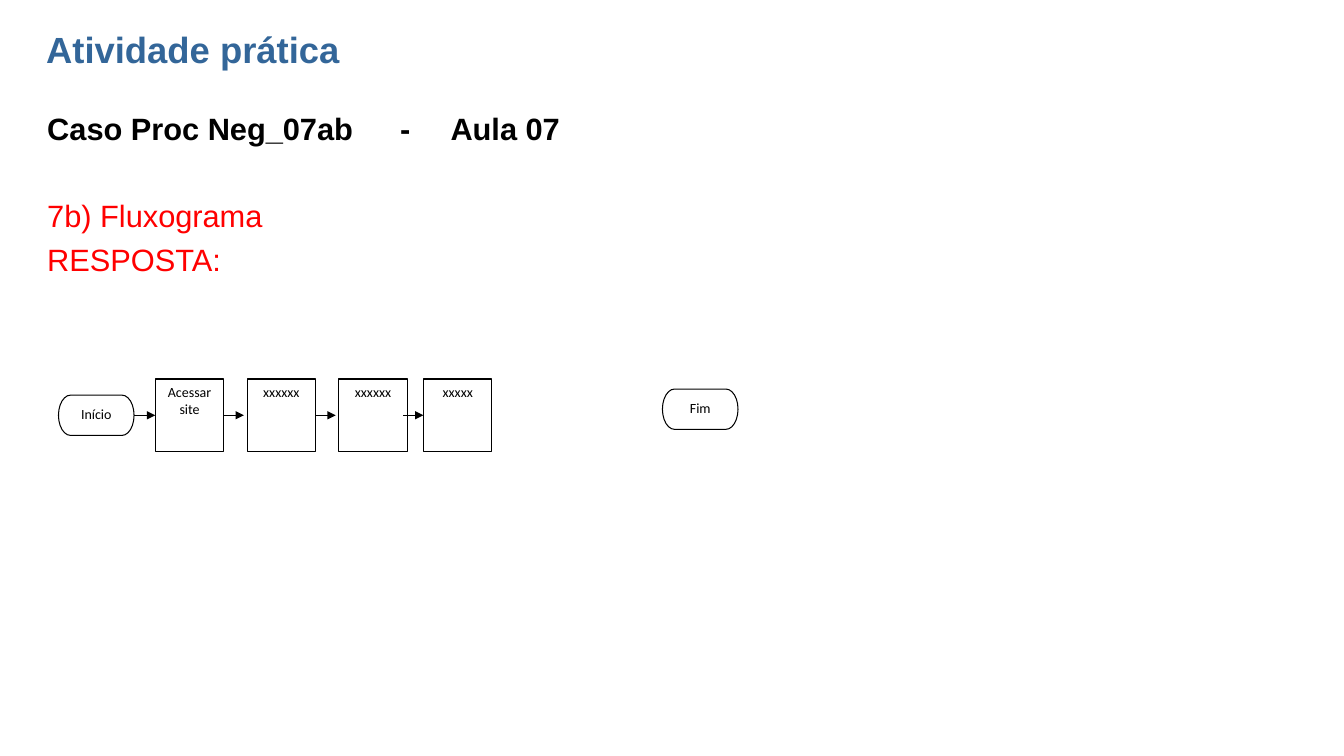
from pptx import Presentation
from pptx import util as u
from pptx.dml.color import RGBColor
from pptx.enum import shapes, text
from pptx.oxml.ns import qn
from lxml import etree

LEFT, RIGHT = 1, 3
FLOW_Y = 4.12
TERMINATOR_SIZE = (0.75, 0.4)
STEP_SIZE = (0.68, 0.72)
ARROW_LENGTH = 0.2

TITLE = {"size": u.Pt(26), "name": "Arial", "bold": True}
HEADING = {"size": u.Pt(22), "name": "Arial", "bold": True}
BODY = {"size": u.Pt(22), "name": "Arial", "bold": False}
LABEL = {"size": u.Pt(10), "name": "Calibri"}


def rgb(value):
    return RGBColor.from_string(value)


def write(p, words, font, color, **layout):
    for name, value in layout.items():
        setattr(p, name, value)
    r = p.add_run()
    r.text = words
    for name, value in font.items():
        setattr(r.font, name, value)
    r.font.color.rgb = rgb(color)


def add_text(s, box, lines):
    tf = s.shapes.add_textbox(*map(u.Inches, box)).text_frame
    tf.word_wrap = True
    for i, (words, font, color, layout) in enumerate(lines):
        p = tf.add_paragraph() if i else tf.paragraphs[0]
        write(p, words, font, color, alignment=text.PP_ALIGN.JUSTIFY, **layout)


def add_node(s, kind, left, middle, size, words):
    width, height = size
    box = (left, middle - height / 2, width, height)
    sp = s.shapes.add_shape(kind, *map(u.Inches, box))
    sp.shadow.inherit = False
    sp.fill.solid()
    sp.fill.fore_color.rgb = rgb("FFFFFF")
    sp.line.color.rgb = rgb("000000")
    sp.line.width = u.Pt(0.75)
    tf = sp.text_frame
    tf.word_wrap = True
    tf.vertical_anchor = text.MSO_ANCHOR.TOP
    write(tf.paragraphs[0], words, LABEL, "000000",
          alignment=text.PP_ALIGN.CENTER, space_after=u.Pt(10))
    return sp


def add_arrow(s, start, source=None, target=None):
    ends = (start, FLOW_Y, start + ARROW_LENGTH, FLOW_Y)
    arrow = s.shapes.add_connector(shapes.MSO_CONNECTOR.STRAIGHT, *map(u.Inches, ends))
    if source is not None:
        arrow.begin_connect(source, RIGHT)
    if target is not None:
        arrow.end_connect(target, LEFT)
    arrow.line.color.rgb = rgb("000000")
    arrow.line.width = u.Pt(0.75)
    etree.SubElement(arrow.line._get_or_add_ln(), qn("a:tailEnd"), type="triangle")
    etree.SubElement(arrow._element.spPr, qn("a:effectLst"))


def main():
    prs = Presentation()
    prs.slide_width, prs.slide_height = u.Inches(13.33), u.Inches(7.5)
    s = prs.slides.add_slide(prs.slide_layouts[6])

    add_text(s, (0.36, 0.27, 9.74, 0.67), [
        ("Atividade prática", TITLE, "336699", {"line_spacing": 0.9}),
    ])
    add_text(s, (0.37, 1.04, 12.49, 2.08), [
        ("Caso Proc Neg_07ab\t-\tAula 07", HEADING, "000000", {}),
        ("7b) Fluxograma", BODY, "FF0000", {"space_before": u.Pt(36)}),
        ("RESPOSTA:", BODY, "FF0000", {"space_before": u.Pt(5)}),
    ])

    terminator = shapes.MSO_SHAPE.FLOWCHART_TERMINATOR
    begin = add_node(s, terminator, 0.58, FLOW_Y, TERMINATOR_SIZE, "Início")
    steps = [
        add_node(s, shapes.MSO_SHAPE.RECTANGLE, left, FLOW_Y, STEP_SIZE, words)
        for left, words in [(1.54, "Acessar site"), (2.45, "xxxxxx"),
                            (3.36, "xxxxxx"), (4.2, "xxxxx")]
    ]
    add_node(s, terminator, 6.57, 4.06, TERMINATOR_SIZE, "Fim")

    add_arrow(s, 1.34, begin, steps[0])
    add_arrow(s, 2.22, steps[0])
    add_arrow(s, 3.13, steps[1])
    add_arrow(s, 4, target=steps[3])

    prs.save("out.pptx")


if __name__ == "__main__":
    main()
